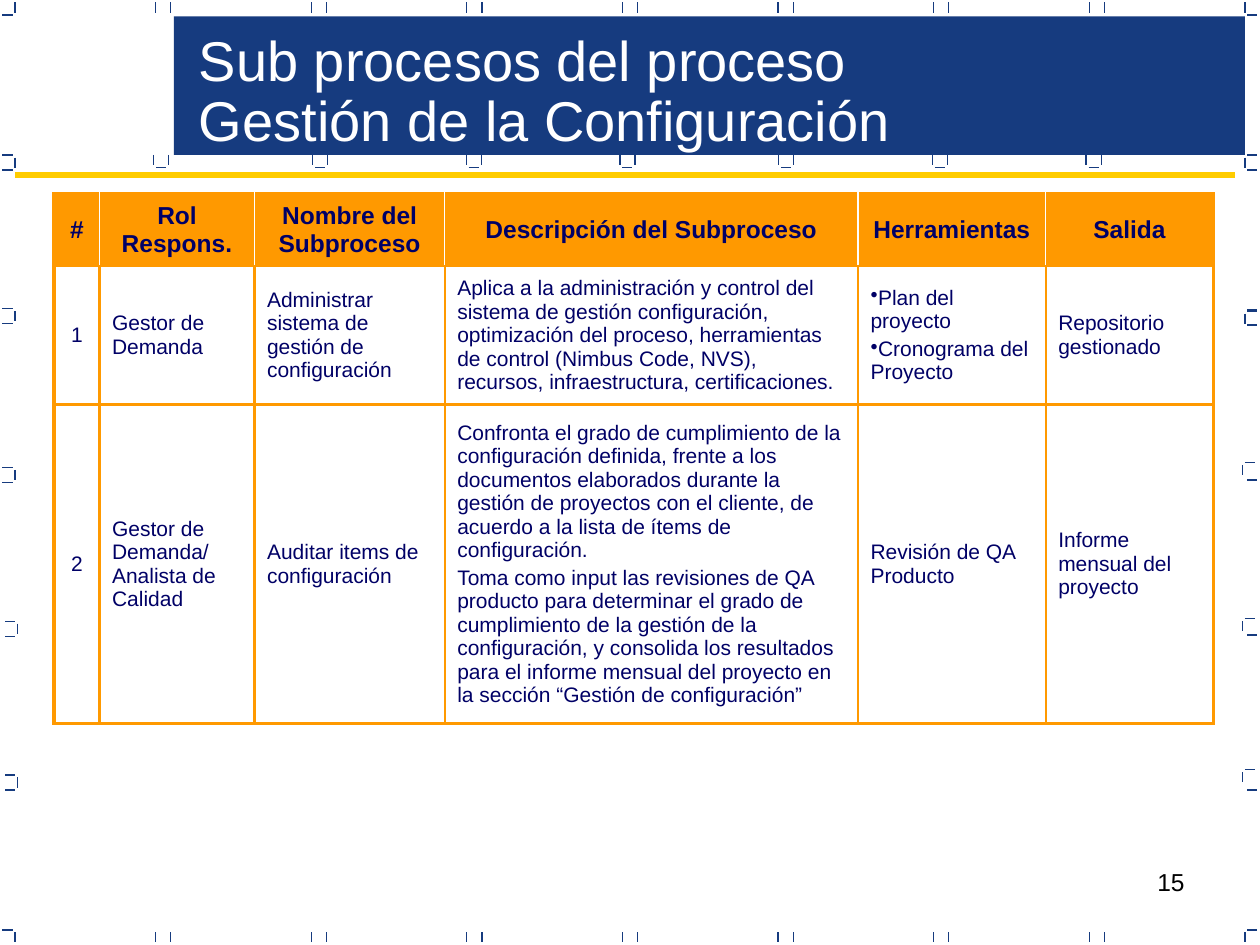
import pptx
import pptx.util
import pptx.dml.color
import pptx.enum.shapes
import pptx.enum.text
import pptx.oxml.ns
import lxml.etree

Inches, Pt = pptx.util.Inches, pptx.util.Pt
ALIGN = pptx.enum.text.PP_ALIGN
ANCHOR = pptx.enum.text.MSO_ANCHOR
qn = pptx.oxml.ns.qn

COLORS = {"blue": "163B7F", "orange": "FF9900", "yellow": "FFCC00",
          "navy": "000066", "white": "FFFFFF", "black": "000000"}
FONT = "Arial"
TITLE = ["Sub procesos del proceso", "Gestión de la Configuración"]
PAGE_NUMBER = "15"
HEADERS = ["#", "Rol Respons.", "Nombre del Subproceso",
           "Descripción del Subproceso", "Herramientas", "Salida"]
SUBPROCESSES = [
    ["1", "Gestor de Demanda", "Administrar sistema de gestión de configuración",
     "Aplica a la administración y control del sistema de gestión configuración, "
     "optimización del proceso, herramientas de control (Nimbus Code, NVS), recursos, "
     "infraestructura, certificaciones.",
     ["Plan del proyecto", "Cronograma del Proyecto"], "Repositorio gestionado"],
    ["2", "Gestor de Demanda/ Analista de Calidad", "Auditar items de configuración",
     ("Confronta el grado de cumplimiento de la configuración definida, frente a los "
      "documentos elaborados durante la gestión de proyectos con el cliente, de acuerdo "
      "a la lista de ítems de configuración.",
      "Toma como input las revisiones de QA producto para determinar el grado de "
      "cumplimiento de la gestión de la configuración, y consolida los resultados para "
      "el informe mensual del proyecto en la sección “Gestión de configuración”"),
     "Revisión de QA Producto", "Informe mensual del proyecto"],
]
COLUMN_WIDTHS = [0.36, 1.23, 1.51, 3.28, 1.49, 1.33]
ROW_HEIGHTS = [0.57, 1.1, 2.37]

TICK, GAP = 0.08, 0.02
SPAN = TICK + 2 * GAP
EDGE_COLUMNS = [1.235 + 1.235 * index for index in range(7)]
CUP_COLUMNS = [1.22, 2.48, 3.7, 4.92, 6.18, 7.4, 8.62]
LEFT_BRACKETS = [(0.02, 1.23), (0.02, 2.45), (0.02, 3.71), (0.04, 4.93), (0.04, 6.15)]
RIGHT_BRACKETS = [(9.88, 1.23), (9.88, 2.47), (9.86, 3.67), (9.86, 4.91), (9.86, 6.11)]
RIGHT_DASHES = [1.35, 2.58, 2.46, 3.81, 5.04, 6.27]

presentation = pptx.Presentation()
presentation.slide_width, presentation.slide_height = Inches(10), Inches(7.5)
slide = presentation.slides.add_slide(presentation.slide_layouts[6])


def rgb(name):
    return pptx.dml.color.RGBColor.from_string(COLORS[name])


def add_line(x1, y1, x2, y2, color="blue", width=0.75):
    line = slide.shapes.add_connector(pptx.enum.shapes.MSO_CONNECTOR.STRAIGHT,
                                      *map(Inches, (x1, y1, x2, y2)))
    line.line.color.rgb = rgb(color)
    line.line.width = Pt(width)
    lxml.etree.SubElement(line._element.spPr, qn("a:effectLst"))


def vertical(x, y):
    add_line(x, y, x, y + TICK)


def horizontal(x, y):
    add_line(x, y, x + TICK, y)


def write(frame, texts, size, color, align=ALIGN.LEFT, bold=False,
          before=0, spacing=None, bullet=False):
    frame.word_wrap = True
    for index, text in enumerate(texts):
        paragraph = frame.paragraphs[0] if index == 0 else frame.add_paragraph()
        paragraph.alignment = align
        paragraph.space_before = Pt(before)
        if spacing:
            paragraph.line_spacing = spacing
        if bullet:
            mark = lxml.etree.SubElement(paragraph._p.get_or_add_pPr(), qn("a:buChar"))
            mark.set("char", "•")
        run = paragraph.add_run()
        run.text = text
        run.font.name, run.font.size, run.font.bold = FONT, Pt(size), bold
        run.font.color.rgb = rgb(color)


def set_borders(cell, borders):
    properties = cell._tc.get_or_add_tcPr()
    for index, (side, color, width) in enumerate(borders):
        border = lxml.etree.Element(qn("a:" + side), w=str(Pt(width)))
        fill = lxml.etree.SubElement(border, qn("a:solidFill"))
        lxml.etree.SubElement(fill, qn("a:srgbClr"), val=COLORS[color])
        properties.insert(index, border)


number_box = slide.shapes.add_textbox(*map(Inches, (7.17, 6.83, 2.33, 0.52)))
write(number_box.text_frame, [PAGE_NUMBER], 14, "black", ALIGN.RIGHT)

for x in EDGE_COLUMNS:
    for y in (GAP, 7.4):
        vertical(x, y)
        vertical(x + SPAN, y)
for x in CUP_COLUMNS:
    vertical(x, 1.23)
    vertical(x + SPAN, 1.23)
    horizontal(x + GAP, 1.33)
for x, y in LEFT_BRACKETS:
    horizontal(x, y)
    vertical(x + TICK + GAP, y + GAP)
    horizontal(x, y + SPAN)
for x, y in RIGHT_BRACKETS:
    horizontal(x + GAP, y)
    vertical(x, y + GAP)
for y in RIGHT_DASHES:
    horizontal(9.9, y)
for tick_x, dash_x in ((0.12, 0.02), (9.88, 9.9)):
    for tick_y, dash_y in ((0.02, 0.12), (7.4, 7.38)):
        vertical(tick_x, tick_y)
        horizontal(dash_x, dash_y)

banner = slide.shapes.add_shape(pptx.enum.shapes.MSO_SHAPE.RECTANGLE,
                                *map(Inches, (1.38, 0.13, 8.5, 1.1)))
banner.shadow.inherit = False
banner.fill.solid()
banner.fill.fore_color.rgb = rgb("blue")
banner.line.fill.background()

table = slide.shapes.add_table(
    len(ROW_HEIGHTS), len(COLUMN_WIDTHS),
    *map(Inches, (0.43, 1.54, sum(COLUMN_WIDTHS), sum(ROW_HEIGHTS)))).table
table.horz_banding = False
for column, width in zip(table.columns, COLUMN_WIDTHS):
    column.width = Inches(width)
for row, height in zip(table.rows, ROW_HEIGHTS):
    row.height = Inches(height)

last_row, last_column = len(ROW_HEIGHTS) - 1, len(COLUMN_WIDTHS) - 1
for row, texts in enumerate([HEADERS] + SUBPROCESSES):
    header = row == 0
    inner = ("white", 1) if header else ("orange", 1.5)
    outer, rule = ("orange", 2.25), ("orange", 1.5)
    for column, content in enumerate(texts):
        cell = table.cell(row, column)
        cell.vertical_anchor = ANCHOR.MIDDLE
        if header:
            cell.fill.solid()
            cell.fill.fore_color.rgb = rgb("orange")
        else:
            cell.fill.background()
        size = 14 if header else 12
        write(cell.text_frame, [content] if isinstance(content, str) else content,
              size, "navy", ALIGN.CENTER if header or column == 0 else ALIGN.LEFT,
              bold=header, before=size * 0.2, bullet=isinstance(content, list))
        set_borders(cell, [
            ("lnL", *(outer if column == 0 else inner)),
            ("lnR", *(outer if column == last_column else inner)),
            ("lnT", *(outer if header else rule)),
            ("lnB", *(outer if row == last_row else rule))])

title_box = slide.shapes.add_textbox(*map(Inches, (1.48, 0.21, 8.32, 1.06)))
write(title_box.text_frame, TITLE, 32, "white", spacing=0.9)
add_line(0.12, 1.39, 9.8, 1.39, "yellow", 3)

presentation.save("out.pptx")
